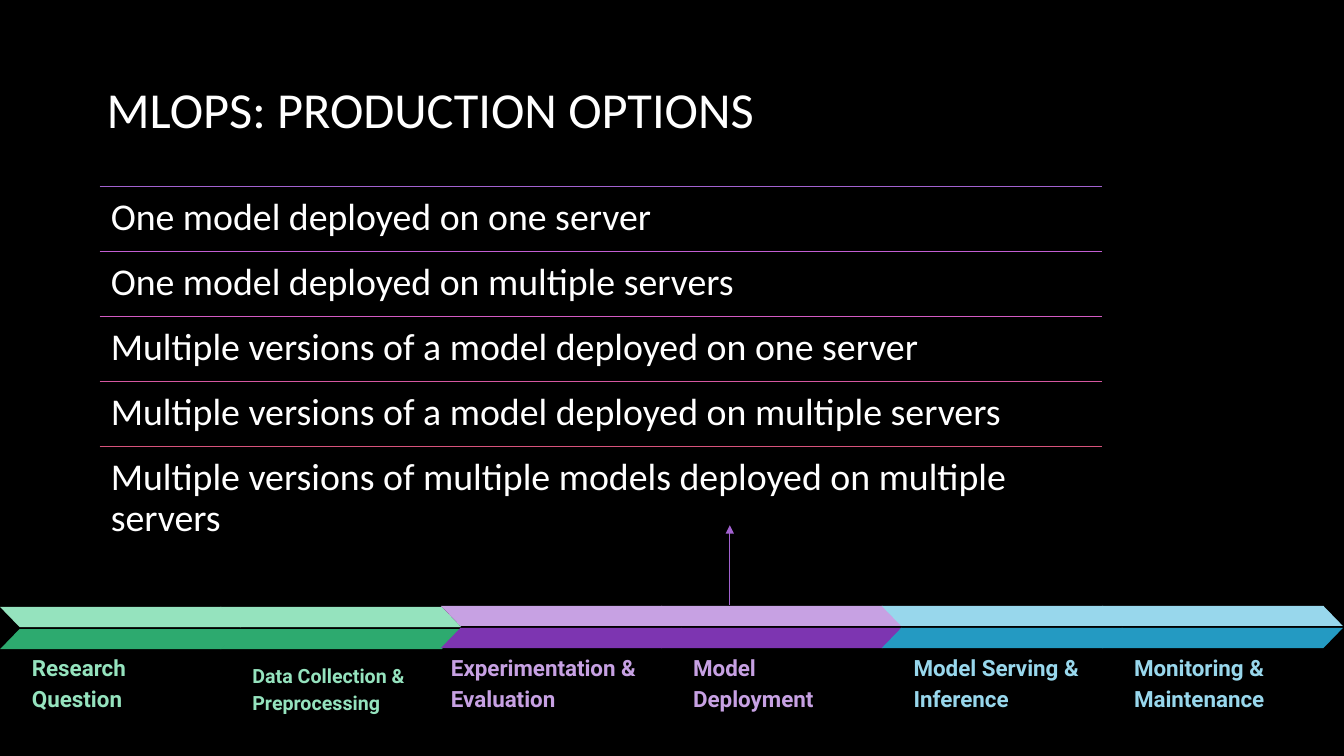
from lxml import etree
from pptx import Presentation
from pptx import util as u
from pptx.dml.color import RGBColor
from pptx.enum import shapes, text
from pptx.oxml.ns import qn

COLOURS = {
    "background": "000000", "text": "FFFFFF", "arrow": "A262D0",
    "mint": "95E3BE", "green": "2DAA6F",
    "lilac": "C7A1E3", "purple": "7D35B1",
    "sky": "98D7EC", "blue": "249AC2",
}
RULES = ["A262D0", "C25ED2", "D35BC3", "D557A0", "D7537B"]
OPTIONS = [
    "One model deployed on one server",
    "One model deployed on multiple servers",
    "Multiple versions of a model deployed on one server",
    "Multiple versions of a model deployed on multiple servers",
    "Multiple versions of multiple models deployed on multiple servers",
]
PHASES = [
    ("mint", "green", 80.27, ["Research Question", "Data Collection & Preprocessing"]),
    ("lilac", "purple", 80.13, ["Experimentation & Evaluation", "Model Deployment"]),
    ("sky", "blue", 80.13, ["Model Serving & Inference", "Monitoring & Maintenance"]),
]
LABEL_BOX = {"left": 1.4, "top": 87.5, "width": 14.77, "height": 8.4, "size": 16}
SPECIAL_LABELS = {
    "Data Collection & Preprocessing": {"top": 87.33, "height": 8.93, "size": 14},
    "Experimentation & Evaluation": {"left": -0.22, "width": 17.92},
}


class Board:
    def __init__(self, deck):
        self.column = deck.slide_width / 100
        self.row = deck.slide_height / 100
        self.slide = deck.slides.add_slide(deck.slide_layouts[6])
        self.paint(self.slide.background, COLOURS["background"])

    def place(self, left, top, width, height):
        return [round(length * unit) for length, unit in zip(
            (left, top, width, height), (self.column, self.row) * 2)]

    def paint(self, target, colour):
        target.fill.solid()
        target.fill.fore_color.rgb = RGBColor.from_string(colour)

    def words(self, wording, area, colour, font, spacing, insets, anchor):
        frame = self.slide.shapes.add_textbox(*self.place(*area)).text_frame
        across, down = (u.Inches(inset) for inset in insets)
        layout = {"word_wrap": True, "vertical_anchor": anchor,
                  "margin_left": across, "margin_right": across,
                  "margin_top": down, "margin_bottom": down}
        paragraph = frame.paragraphs[0]
        paragraph.line_spacing = spacing
        run = paragraph.add_run()
        run.text = wording
        for target, values in ((frame, layout), (run.font, font)):
            for name, value in values.items():
                setattr(target, name, value)
        run.font.color.rgb = RGBColor.from_string(colour)

    def band(self, area, colour, flipped=False):
        band = self.slide.shapes.add_shape(
            shapes.MSO_SHAPE.PARALLELOGRAM, *self.place(*area))
        band.adjustments[0] = 0.97
        band.shadow.inherit = False
        self.paint(band, colour)
        band.line.fill.background()
        if flipped:
            band.element.spPr.find(qn("a:xfrm")).set("flipH", "1")

    def rule(self, start, end, colour, arrow=False):
        rule = self.slide.shapes.add_connector(
            shapes.MSO_CONNECTOR.STRAIGHT, *self.place(*start, *end))
        rule.line.width = u.Pt(0.75)
        rule.line.color.rgb = RGBColor.from_string(colour)
        properties = rule.element.spPr
        if arrow:
            etree.SubElement(properties.find(qn("a:ln")), qn("a:tailEnd"), type="triangle")
        etree.SubElement(properties, qn("a:effectLst"))

    def option(self, wording, top, colour):
        self.rule((7.42, top), (82, top), colour)
        self.words(wording, (7.42, top, 74.6, 8.6), COLOURS["text"],
                   {"name": "Calibri", "size": u.Pt(27)}, 0.9, (0.11, 0.11),
                   text.MSO_ANCHOR.TOP)

    def stage(self, wording, left, top, light, dark):
        self.band((left, top, 17.92, 2.67), COLOURS[light], flipped=True)
        self.band((left, top + 2.93, 17.92, 2.67), COLOURS[dark])
        box = {**LABEL_BOX, **SPECIAL_LABELS.get(wording, {})}
        self.words(wording, (left + box["left"], box["top"], box["width"], box["height"]),
                   COLOURS[light],
                   {"name": "Roboto", "size": u.Pt(box["size"]), "bold": True},
                   1.15, (0.13, 0.13), text.MSO_ANCHOR.BOTTOM)


def main():
    deck = Presentation()
    deck.slide_width, deck.slide_height = u.Inches(13.33), u.Inches(7.5)
    board = Board(deck)
    board.words("MLOPS: PRODUCTION OPTIONS", (7.2, 9.07, 83.5, 11.47), COLOURS["text"],
                {"name": "Calibri", "size": u.Pt(36)}, 0.9, (0.1, 0.05),
                text.MSO_ANCHOR.MIDDLE)
    stages = [(wording, top, light, dark)
              for light, dark, top, wordings in PHASES for wording in wordings]
    for index, (wording, top, light, dark) in enumerate(stages):
        board.stage(wording, index * 16.4, top, light, dark)
    board.rule((54.3, 80), (54.3, 69.47), COLOURS["arrow"], arrow=True)
    for index, (wording, colour) in enumerate(zip(OPTIONS, RULES)):
        board.option(wording, 24.67 + index * 8.6, colour)
    deck.save("out.pptx")


if __name__ == "__main__":
    main()
